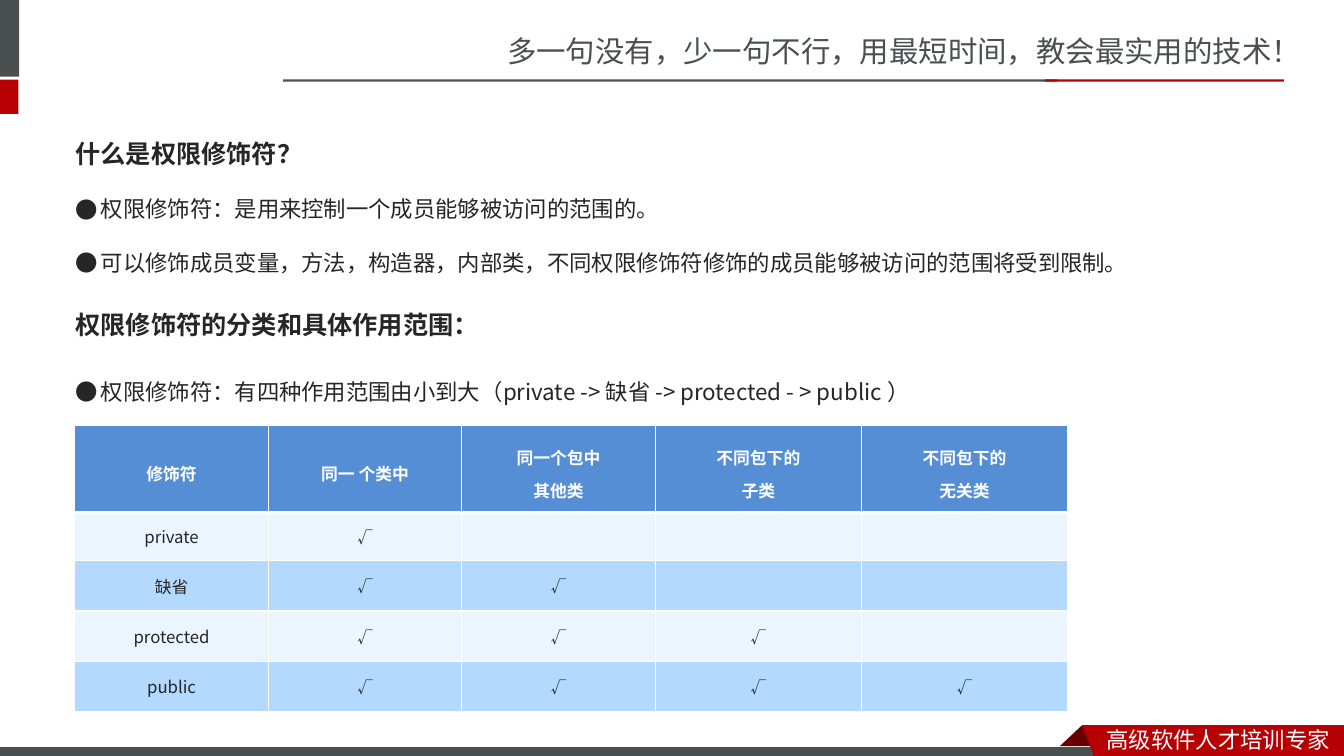
from pptx import Presentation
from pptx import util as u
from pptx.dml.color import RGBColor
from pptx.enum import shapes, text
from pptx.oxml.ns import qn
from lxml import etree

GREY = RGBColor(0x49, 0x50, 0x4F)
RED = RGBColor(0xB6, 0x00, 0x04)
DARK_RED = RGBColor(0x68, 0x00, 0x00)
INK = RGBColor(0x26, 0x26, 0x26)
WHITE = RGBColor(0xFF, 0xFF, 0xFF)
HEADER_BLUE = RGBColor(0x55, 0x8E, 0xD5)
BANDS = [RGBColor(0xEB, 0xF5, 0xFF), RGBColor(0xB3, 0xD9, 0xFF)]
MASTER_FONT = "Noto Sans CJK SC"
BODY_FONT = "Noto Sans CJK JP"


def style(paragraph, size, color, bold=False, font=BODY_FONT):
    for run in paragraph.runs:
        run.font.size = u.Pt(size)
        run.font.bold = bold
        run.font.color.rgb = color
        run.font.name = font
        etree.SubElement(run.font._element, qn("a:ea"), typeface=font)


def place(box, left, top, width, height):
    box.left, box.top = u.Pt(left), u.Pt(top)
    box.width, box.height = u.Pt(width), u.Pt(height)
    box.text_frame.word_wrap = True
    box.text_frame.auto_size = text.MSO_AUTO_SIZE.NONE
    box.text_frame.vertical_anchor = text.MSO_ANCHOR.TOP


prs = Presentation()
prs.slide_width, prs.slide_height = u.Pt(960), u.Pt(540)
slide = prs.slides.add_slide(prs.slide_layouts[3])
slogan, definition, scope = list(slide.placeholders)[:3]
for spare in list(slide.placeholders)[3:]:
    spare._element.getparent().remove(spare._element)

# Slogan at the top
place(slogan, 355, 20.2, 605, 33.8)
slogan.text_frame.text = "多一句没有，少一句不行，用最短时间，教会最实用的技术！"
slogan.text_frame.paragraphs[0].alignment = text.PP_ALIGN.LEFT
style(slogan.text_frame.paragraphs[0], 21, GREY, font=MASTER_FONT)

# Bars at the corner, under the slogan and along the bottom
bars = [
    (-4.3, 0, 18, 54.7, GREY),
    (-4.3, 56.9, 17.4, 24.5, RED),
    (202.3, 56.7, 553, 1.6, GREY),
    (746.6, 56.7, 170.6, 1.6, RED),
    (-0.7, 533.5, 792, 8.6, GREY),
]
for left, top, width, height, color in bars:
    bar = slide.shapes.add_shape(shapes.MSO_SHAPE.RECTANGLE, u.Pt(left), u.Pt(top),
                                 u.Pt(width), u.Pt(height))
    bar.shadow.inherit = False
    bar.fill.solid()
    bar.fill.fore_color.rgb = color
    bar.line.fill.background()
bar.line.color.rgb = WHITE
bar.line.width = u.Pt(0.75)

# Ribbon with its fold
ribbon_parts = [
    ([(772.6, 518.4), (788.4, 533.2), (757, 533.2)], DARK_RED),
    ([(772.6, 518.4), (960, 518.4), (960, 542.5), (782, 542.5)], RED),
]
for corners, color in ribbon_parts:
    outline = slide.shapes.build_freeform(*corners[0], scale=u.Pt(1))
    outline.add_line_segments(corners[1:], close=True)
    ribbon = outline.convert_to_shape()
    ribbon.shadow.inherit = False
    ribbon.fill.solid()
    ribbon.fill.fore_color.rgb = color
    ribbon.line.fill.background()

# Single-line texts: ribbon motto and second heading
lines = [
    ("高级软件人才培训专家", 783.4, 514.8, 176.6, 26.6, 16, WHITE, False, MASTER_FONT),
    ("权限修饰符的分类和具体作用范围：", 46.8, 217.4, 301, 29, 18, INK, True, BODY_FONT),
]
for wording, left, top, width, height, size, color, bold, font in lines:
    line = slide.shapes.add_textbox(0, 0, 0, 0)
    place(line, left, top, width, height)
    line.text_frame.word_wrap = False
    line.text_frame.text = wording
    style(line.text_frame.paragraphs[0], size, color, bold, font)

# Definition and scope lists
place(definition, 46.8, 73.4, 780, 123.1)
definition.text_frame.text = (
    "什么是权限修饰符？\n"
    "权限修饰符：是用来控制一个成员能够被访问的范围的。\n"
    "可以修饰成员变量，方法，构造器，内部类，不同权限修饰符修饰的成员能够被访问的范围将受到限制。")
place(scope, 46.8, 247, 676.8, 41)
scope.text_frame.text = "权限修饰符：有四种作用范围由小到大（private -> 缺省 -> protected - > public ）"

heading, *points = definition.text_frame.paragraphs
points += scope.text_frame.paragraphs
for paragraph in [heading] + points:
    is_point = paragraph is not heading
    paragraph.line_spacing = 2.0
    paragraph.space_before = u.Pt(0)
    style(paragraph, 16 if is_point else 18, INK, not is_point)
    pPr = paragraph._p.get_or_add_pPr()
    pPr.set("marL", str(u.Pt(18) if is_point else 0))
    pPr.set("indent", str(u.Pt(-18) if is_point else 0))
    if is_point:
        etree.SubElement(pPr, qn("a:buFont"), typeface=BODY_FONT)
        etree.SubElement(pPr, qn("a:buChar"), char="●")
    else:
        etree.SubElement(pPr, qn("a:buNone"))

# Access table: each modifier reaches one scope further than the one above
headers = ["修饰符", "同一 个类中", "同一个包中\n其他类", "不同包下的\n子类", "不同包下的\n无关类"]
modifiers = ["private", "缺省", "protected", "public"]
rows = [headers]
for reach, modifier in enumerate(modifiers, 1):
    rows.append([modifier] + ["√"] * reach + [""] * (4 - reach))

access = slide.shapes.add_table(5, 5, u.Pt(53.5), u.Pt(304), u.Pt(709.2), u.Pt(204.5)).table
for column, width in zip(access.columns, [138.2] * 3 + [147.3] * 2):
    column.width = u.Pt(width)
for row, height in zip(access.rows, [62, 34.5, 36, 36, 36]):
    row.height = u.Pt(height)

for r, row in enumerate(rows):
    for c, wording in enumerate(row):
        cell = access.cell(r, c)
        cell.vertical_anchor = text.MSO_ANCHOR.MIDDLE
        cell.margin_left = cell.margin_right = u.Pt(9.4)
        cell.margin_top = cell.margin_bottom = u.Pt(5)
        tcPr = cell._tc.get_or_add_tcPr()
        for side in "LRTB":
            thick = (r, side) in [(0, "B"), (1, "T")]
            border = etree.SubElement(tcPr, qn("a:ln" + side), w=str(u.Pt(3 if thick else 1)))
            paint = etree.SubElement(border, qn("a:solidFill"))
            etree.SubElement(paint, qn("a:srgbClr"), val=str(WHITE))
        cell.fill.solid()
        cell.fill.fore_color.rgb = BANDS[(r - 1) % 2] if r else HEADER_BLUE
        if not wording:
            continue
        cell.text_frame.text = wording
        for paragraph in cell.text_frame.paragraphs:
            paragraph.alignment = text.PP_ALIGN.CENTER
            if r == 0:
                paragraph.line_spacing = u.Pt(24)
            style(paragraph, 11 if wording == "√" else 12, INK if r else WHITE, r == 0)

prs.save("out.pptx")
